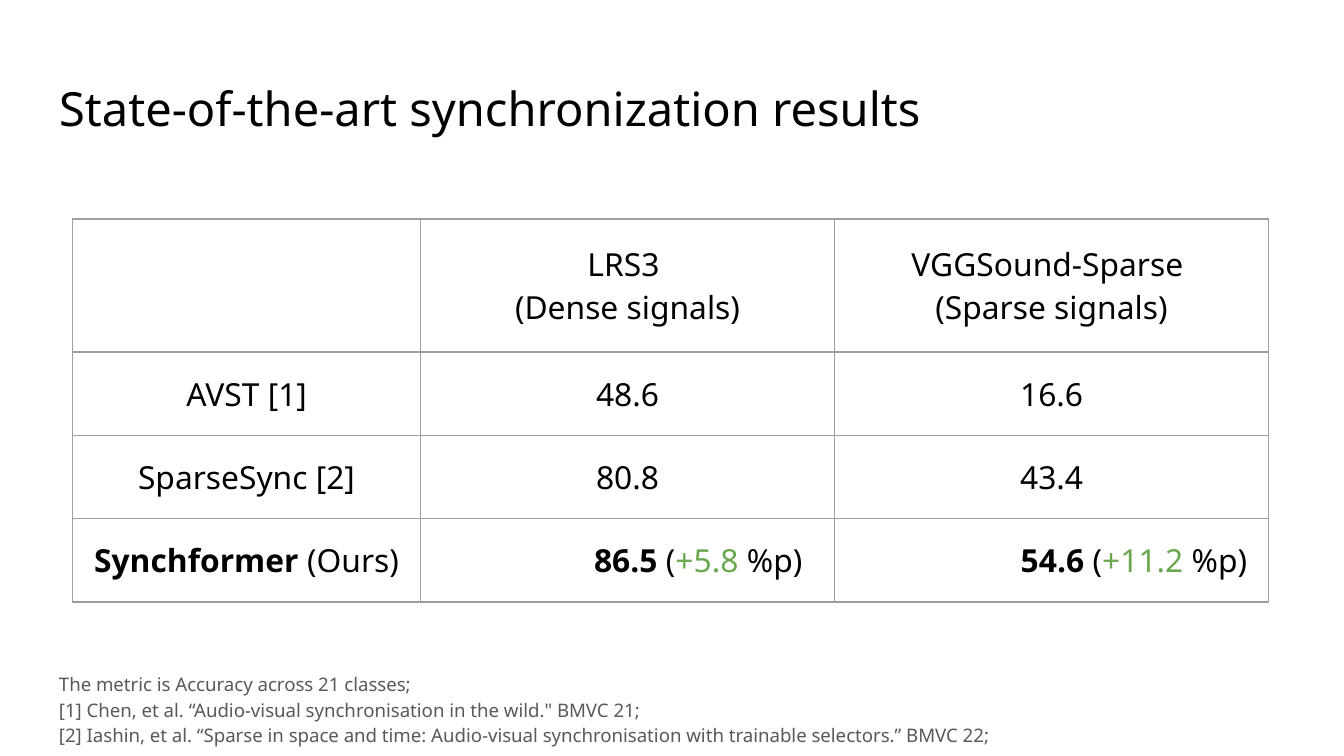
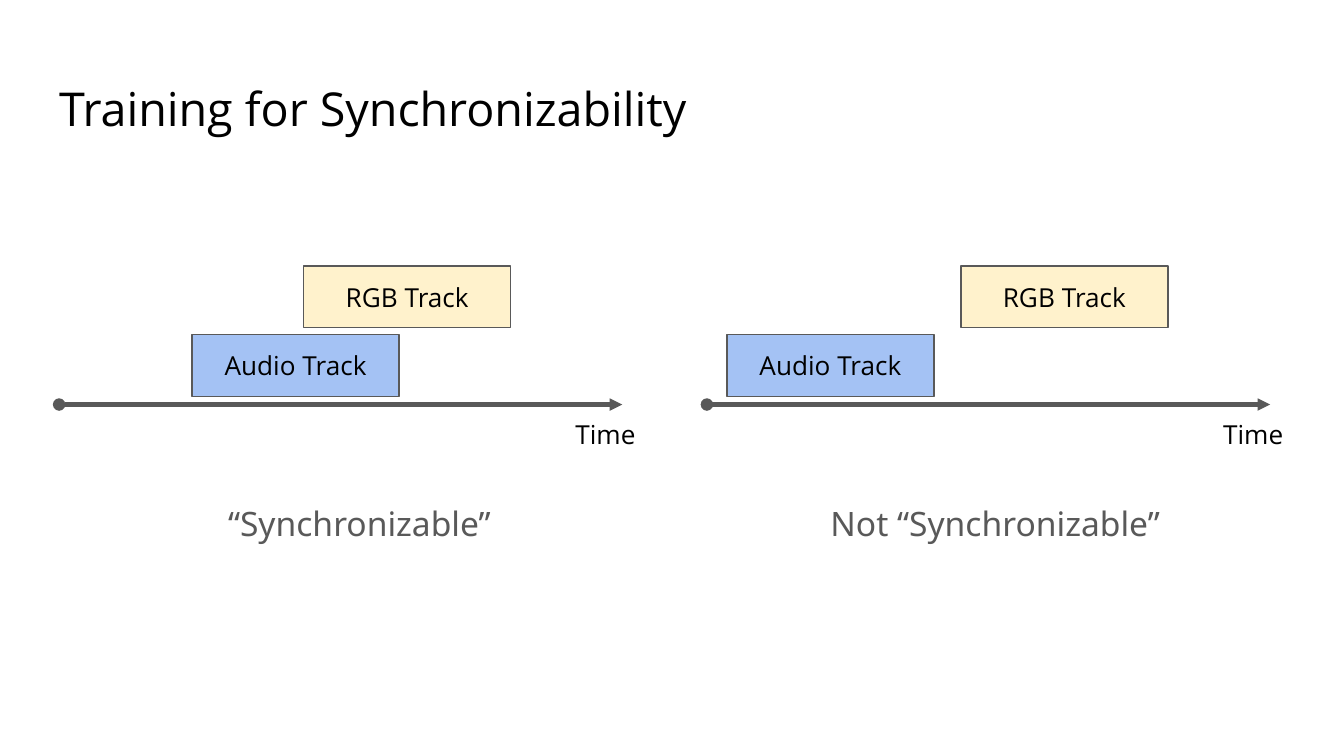
from lxml import etree
from pptx import Presentation
from pptx.dml.color import RGBColor
from pptx.enum.shapes import MSO_CONNECTOR, MSO_SHAPE
from pptx.enum.text import MSO_ANCHOR, MSO_AUTO_SIZE, PP_ALIGN
from pptx.oxml import parse_xml
from pptx.oxml.ns import nsdecls, qn
from pptx.util import Inches, Pt

LEFT, CENTER, RIGHT = PP_ALIGN.LEFT, PP_ALIGN.CENTER, PP_ALIGN.RIGHT
TOP, MIDDLE = MSO_ANCHOR.TOP, MSO_ANCHOR.MIDDLE
NO_FIT = MSO_AUTO_SIZE.NONE
RECTANGLE, STRAIGHT = MSO_SHAPE.RECTANGLE, MSO_CONNECTOR.STRAIGHT

BLACK, GRAY, BORDER = "000000", "595959", "9E9E9E"
GREEN, BLUE, CREAM = "6AA84F", "A4C2F4", "FFF2CC"
NOTO, OPEN = "Noto Sans", "Open Sans"

# The 16:9 page is a grid of square units, 1000 across
PAGE_WIDTH = Inches(10)
PAGE_HEIGHT = PAGE_WIDTH * 9 // 16
UNIT = PAGE_WIDTH // 1000
MARGIN = 10 * UNIT

color = RGBColor.from_string


def write(frame, *lines, font=NOTO, size=14, ink=BLACK, align=CENTER, anchor=TOP, spacing=1.0):
    """Each line is a string or a list of (text, bold, colour) spans."""
    frame.word_wrap = True
    frame.auto_size = NO_FIT
    frame.vertical_anchor = anchor
    frame.margin_left = frame.margin_right = MARGIN
    frame.margin_top = frame.margin_bottom = MARGIN
    for number, line in enumerate(lines):
        para = frame.add_paragraph() if number else frame.paragraphs[0]
        para.alignment = align
        para.line_spacing = spacing
        for text, bold, shade in [(line, False, ink)] if isinstance(line, str) else line:
            span = para.add_run()
            span.text = text
            span.font.name = font
            span.font.size = Pt(size)
            span.font.bold = bold
            span.font.color.rgb = color(shade)


deck = Presentation()
deck.slide_width, deck.slide_height = PAGE_WIDTH, PAGE_HEIGHT

# Both pages with their titles
pages = []
for heading, font, size in [
    ("State-of-the-art synchronization results", NOTO, 25.2),
    ("Training for Synchronizability", OPEN, 25),
]:
    page = deck.slides.add_slide(deck.slide_layouts[5])
    title = page.shapes.title
    title.left, title.top = 34 * UNIT, 49 * UNIT
    title.width, title.height = 932 * UNIT, 63 * UNIT
    write(title.text_frame, heading, font=font, size=size, align=LEFT, anchor=MIDDLE)
    pages.append(page)
results_page, training_page = pages

# Results table
widths, heights = [259, 308, 323], [99, 62, 62, 62]
results = [
    [[], ["LRS3 ", "(Dense signals)"], ["VGGSound-Sparse ", "(Sparse signals)"]],
    [["AVST [1]"], ["48.6"], ["16.6"]],
    [["SparseSync [2]"], ["80.8"], ["43.4"]],
    [[[("Synchformer", True, BLACK), (" (Ours)", False, BLACK)]]]
    + [
        [[(score, True, BLACK), (" (", False, BLACK), (gain, False, GREEN), (" %p)", False, BLACK)]]
        for score, gain in [("86.5", "+5.8"), ("54.6", "+11.2")]
    ],
]
table = results_page.shapes.add_table(
    len(heights), len(widths), 54 * UNIT, 163 * UNIT, sum(widths) * UNIT, sum(heights) * UNIT
).table
table.first_row = table.horz_banding = False
for column, width in zip(table.columns, widths):
    column.width = width * UNIT
for row, height in zip(table.rows, heights):
    row.height = height * UNIT

for row, contents in enumerate(results):
    for column, lines in enumerate(contents):
        cell = table.cell(row, column)
        cell.fill.background()
        cell.vertical_anchor = MIDDLE
        cell.margin_left = cell.margin_right = MARGIN
        cell.margin_top = cell.margin_bottom = MARGIN
        write(cell.text_frame, *lines, size=17, anchor=MIDDLE)
        properties = cell._tc.get_or_add_tcPr()
        for place, side in enumerate(["lnL", "lnR", "lnT", "lnB"]):
            properties.insert(place, parse_xml(
                f'<a:{side} {nsdecls("a")} w="{Pt(0.75)}"><a:solidFill>'
                f'<a:srgbClr val="{BORDER}"/></a:solidFill></a:{side}>'))

# Our scores sit toward the right, so that they line up with those above
for column, gap in [(1, 24), (2, 16)]:
    cell = table.cell(3, column)
    cell.margin_right = gap * UNIT
    cell.text_frame.paragraphs[0].alignment = RIGHT

# References
box = results_page.shapes.add_textbox(34 * UNIT, 488 * UNIT, 862 * UNIT, 75 * UNIT)
write(
    box.text_frame,
    "The metric is Accuracy across 21 classes;",
    "[1] Chen, et al. “Audio-visual synchronisation in the wild.\" BMVC 21;",
    "[2] Iashin, et al. “Sparse in space and time: Audio-visual synchronisation"
    " with trainable selectors.” BMVC 22;",
    size=10, ink=GRAY, align=LEFT, spacing=1.15,
)

# Two timelines: axis start, audio start, RGB start, caption start
shapes = training_page.shapes
for axis, audio, rgb, caption_left, caption in [
    (44, 143, 226, 62, "“Synchronizable”"),
    (526, 541, 715, 535, "Not “Synchronizable”"),
]:
    arrow = shapes.add_connector(
        STRAIGHT, axis * UNIT, 301 * UNIT, (axis + 419) * UNIT, 301 * UNIT)
    arrow.line.color.rgb = color(GRAY)
    arrow.line.width = Pt(2.25)
    outline = arrow.line._get_or_add_ln()
    etree.SubElement(outline, qn("a:headEnd"), type="oval")
    etree.SubElement(outline, qn("a:tailEnd"), type="triangle")
    etree.SubElement(arrow._element.spPr, qn("a:effectLst"))

    for name, left, top, fill in [
        ("Audio Track", audio, 249, BLUE),
        ("RGB Track", rgb, 198, CREAM),
    ]:
        track = shapes.add_shape(RECTANGLE, left * UNIT, top * UNIT, 154 * UNIT, 46 * UNIT)
        track.shadow.inherit = False
        track.fill.solid()
        track.fill.fore_color.rgb = color(fill)
        track.line.color.rgb = color(GRAY)
        track.line.width = Pt(0.75)
        write(track.text_frame, name, font=OPEN, anchor=MIDDLE)

    box = shapes.add_textbox((axis + 360) * UNIT, 300 * UNIT, 93 * UNIT, 46 * UNIT)
    write(box.text_frame, "Time", font=OPEN, anchor=MIDDLE)
    box = shapes.add_textbox(caption_left * UNIT, 364 * UNIT, 411 * UNIT, 102 * UNIT)
    write(box.text_frame, caption, size=18, ink=GRAY)

deck.save("out.pptx")
